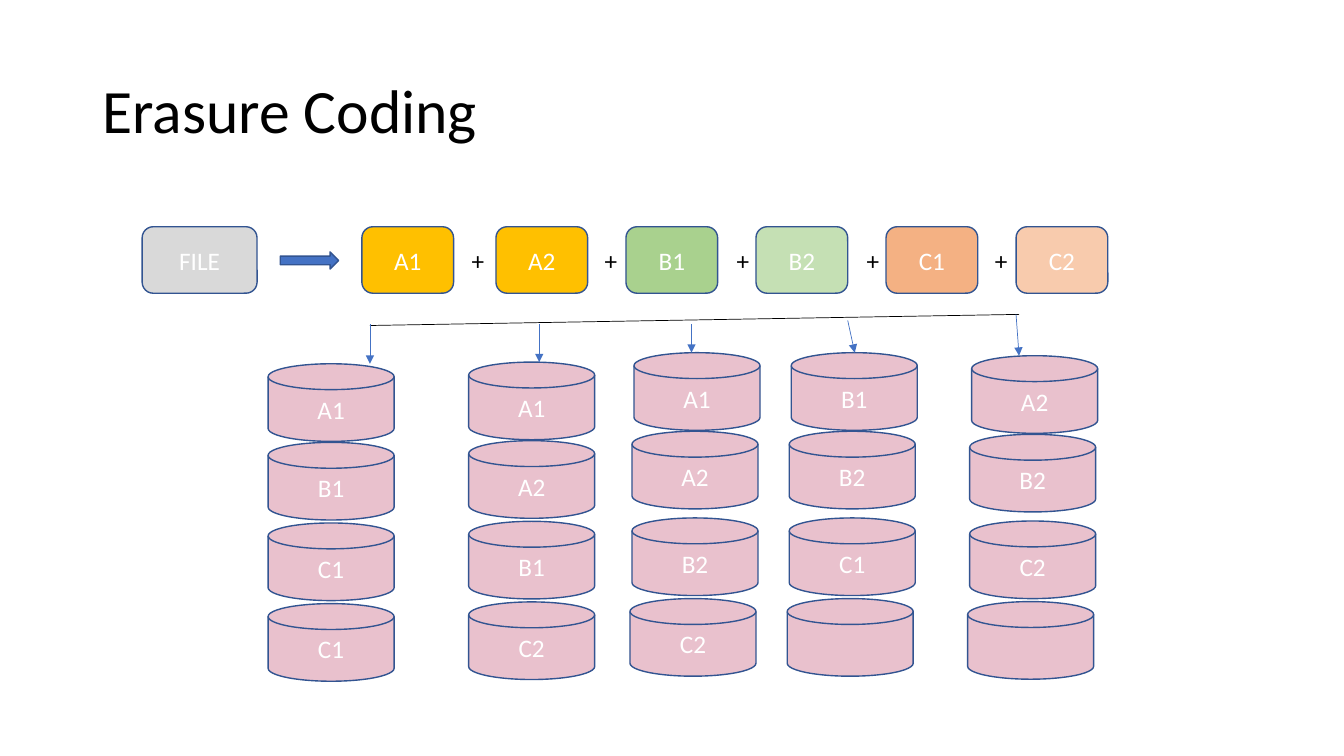
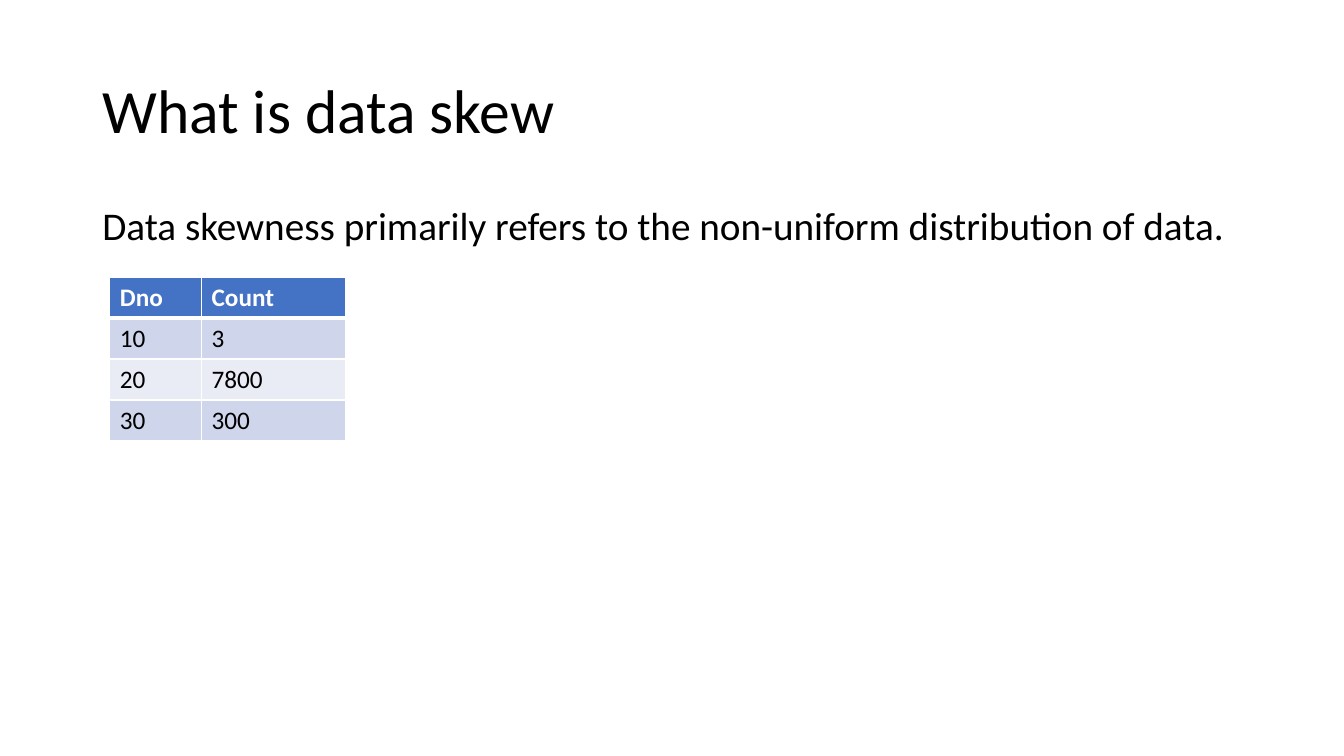
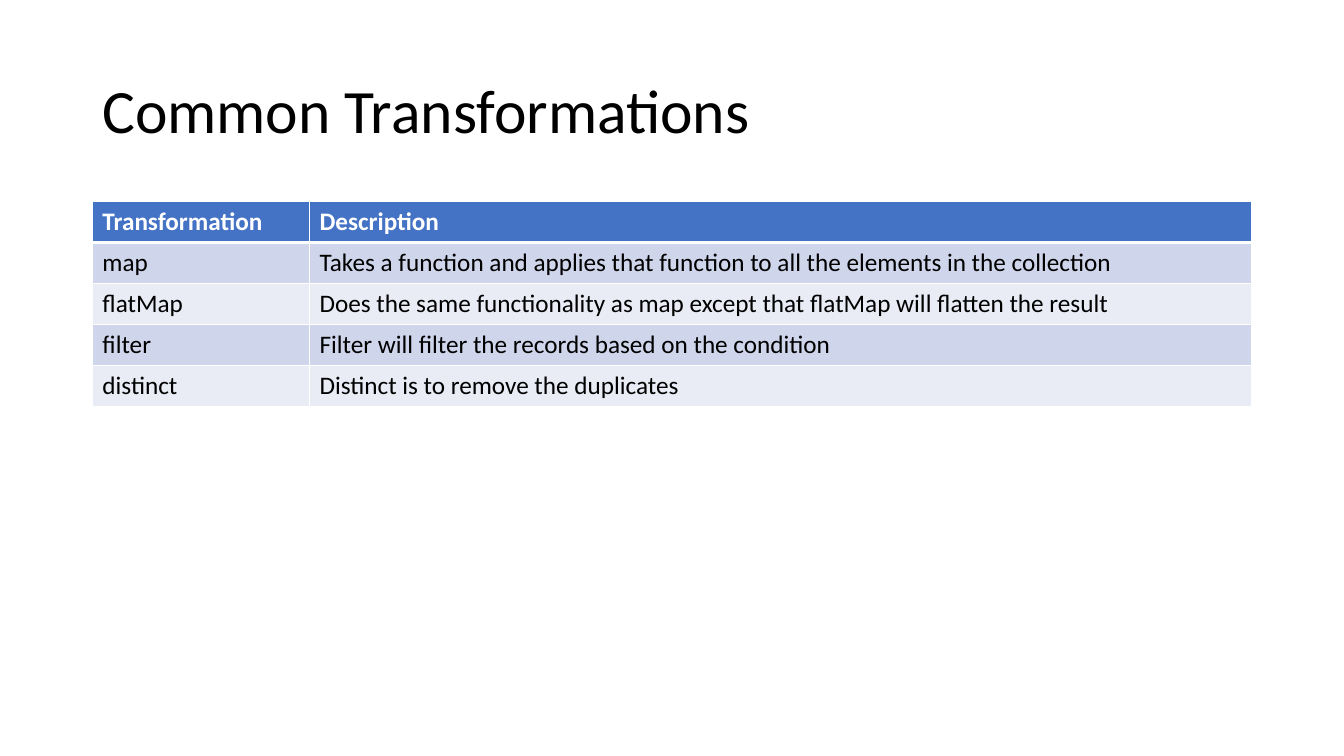
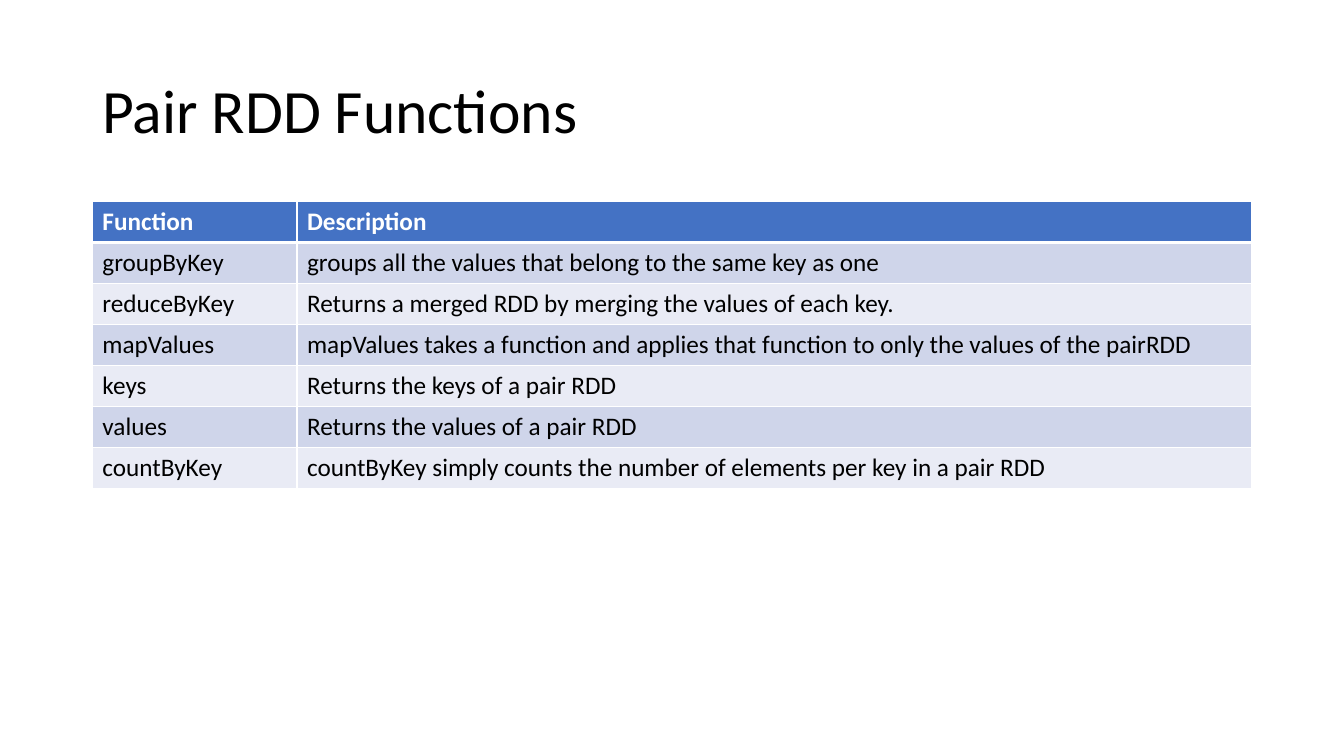
"""Build four slides on erasure coding, data skew and RDD operations."""

from dataclasses import dataclass
from typing import Optional

import lxml.etree
import pptx
import pptx.dml.color
import pptx.enum.shapes
import pptx.enum.text
import pptx.oxml.ns
import pptx.shapes.autoshape
import pptx.slide
import pptx.text.text
import pptx.util

RGBColor = pptx.dml.color.RGBColor
Preset = pptx.enum.shapes.MSO_SHAPE
Align = pptx.enum.text.PP_ALIGN
Anchor = pptx.enum.text.MSO_ANCHOR
qn = pptx.oxml.ns.qn

BLACK = RGBColor(0x00, 0x00, 0x00)
WHITE = RGBColor(0xFF, 0xFF, 0xFF)
BLUE = RGBColor(0x44, 0x72, 0xC4)
OUTLINE = RGBColor(0x32, 0x54, 0x91)
GREY = RGBColor(0xD9, 0xD9, 0xD9)
GOLD = RGBColor(0xFF, 0xC0, 0x00)
GREEN = RGBColor(0xA9, 0xD1, 0x8E)
PALE_GREEN = RGBColor(0xC5, 0xE0, 0xB4)
ORANGE = RGBColor(0xF4, 0xB1, 0x83)
PALE_ORANGE = RGBColor(0xF8, 0xCB, 0xAD)
PINK = RGBColor(0xE9, 0xC1, 0xCD)
BANDS = (RGBColor(0xCF, 0xD5, 0xEA), RGBColor(0xE9, 0xEB, 0xF5))

FONT = "Calibri"
SLIDE_WIDTH = pptx.util.Inches(13.33)
SLIDE_HEIGHT = pptx.util.Inches(7.5)
GRID_COLUMNS = 40
MARGIN = 2.75
CONTENT_WIDTH = 34.5
CONTENT_TOP = 6
TABLE_ROW = 1.22
BLOCK_TOP = 6.75
BLOCK_WIDTH = 2.73
BLOCK_HEIGHT = 1.98
DISK_WIDTH = 3.75
DISK_HEIGHT = 2.31
DISK_LEAN = (0, -0.06, -0.06, -0.12)
EVEN_ROWS = (0, 2.34, 4.74, 7.14)
SPLIT_ROWS = (0, 2.34, 4.92, 7.32)
UPRIGHT = (0, 0, 0, 0)


@dataclass(frozen=True)
class Box:
    """A rectangle in grid cells."""

    left: float
    top: float
    width: float
    height: float

    def emu(self) -> tuple[int, ...]:
        """Return the rectangle in slide units."""
        return tuple(cells(n) for n in (self.left, self.top, self.width, self.height))


@dataclass(frozen=True)
class Block:
    """A part of the file, with the place of the plus sign before it."""

    label: str
    left: float
    fill: RGBColor
    plus: Optional[float] = None


@dataclass(frozen=True)
class DiskStack:
    """A column of disks and the arrow that feeds it."""

    labels: tuple[str, ...]
    left: float
    top: float
    rows: tuple[float, ...]
    lean: tuple[float, ...]
    arrow_start: tuple[float, float]
    arrow_tip: float


@dataclass(frozen=True)
class TableSlide:
    """A titled slide with one table and an optional lead sentence."""

    title: str
    left: float
    top: float
    columns: tuple[float, float]
    rows: tuple[tuple[str, str], ...]
    lead: str = ""


BLOCKS = (
    Block("A1", 10.77, GOLD),
    Block("A2", 14.76, GOLD, 13.74),
    Block("B1", 18.63, GREEN, 17.7),
    Block("B2", 22.5, PALE_GREEN, 21.63),
    Block("C1", 26.37, ORANGE, 25.5),
    Block("C2", 30.24, PALE_ORANGE, 29.31),
)

STACKS = (
    DiskStack(("A1", "B1", "C1", "C1"), 7.98, 10.83, EVEN_ROWS, UPRIGHT, (11.01, 9.66), 11.01),
    DiskStack(("A1", "A2", "B1", "C2"), 13.95, 10.78, EVEN_ROWS, UPRIGHT, (16.05, 9.66), 16.05),
    DiskStack(("A1", "A2", "B2", "C2"), 18.87, 10.5, SPLIT_ROWS, DISK_LEAN, (20.58, 9.66), 20.58),
    DiskStack(("B1", "B2", "C1", ""), 23.55, 10.5, SPLIT_ROWS, DISK_LEAN, (25.23, 9.54), 25.44),
    DiskStack(("A2", "B2", "C2", ""), 28.92, 10.59, SPLIT_ROWS, DISK_LEAN, (30.24, 9.36), 30.33),
)

TABLE_SLIDES = (
    TableSlide(
        "What is data skew", 3.27, 8.25, (2.73, 4.29),
        (("Dno", "Count"), ("10", "3"), ("20", "7800"), ("30", "300")),
        lead="Data skewness primarily refers to the non-uniform distribution of data.",
    ),
    TableSlide(
        "Common Transformations", MARGIN, CONTENT_TOP, (6.46, 28.04),
        (
            ("Transformation", "Description"),
            ("map", "Takes a function and applies that function to all the elements in the collection"),
            ("flatMap", "Does the same functionality as map except that flatMap will flatten the result"),
            ("filter", "Filter will filter the records based on the condition"),
            ("distinct", "Distinct is to remove the duplicates"),
        ),
    ),
    TableSlide(
        "Pair RDD Functions", MARGIN, CONTENT_TOP, (6.09, 28.41),
        (
            ("Function", "Description"),
            ("groupByKey", "groups all the values that belong to the same key as one"),
            ("reduceByKey", "Returns a merged RDD by merging the values of each key."),
            ("mapValues", "mapValues takes a function and applies that function to only the values of the pairRDD"),
            ("keys", "Returns the keys of a pair RDD"),
            ("values", "Returns the values of a pair RDD"),
            ("countByKey", "countByKey simply counts the number of elements per key in a pair RDD"),
        ),
    ),
)


def cells(count: float) -> int:
    """Convert grid cells to slide units."""
    return round(SLIDE_WIDTH * count / GRID_COLUMNS)


def write(
    frame: pptx.text.text.TextFrame,
    text: str,
    *,
    size: float = 18,
    color: RGBColor = BLACK,
    bold: bool = False,
    align: Align = Align.LEFT,
    spacing: float = 1.0,
) -> None:
    """Put formatted text into a frame."""
    paragraph = frame.paragraphs[0]
    paragraph.alignment = align
    paragraph.line_spacing = spacing
    run = paragraph.add_run()
    run.text = text
    run.font.name = FONT
    run.font.size = pptx.util.Pt(size)
    run.font.bold = bold
    run.font.color.rgb = color


def add_text(
    slide: pptx.slide.Slide, box: Box, text: str, *, anchor: Anchor = Anchor.TOP, wrap: bool = True, **style
) -> None:
    """Add a text box."""
    frame = slide.shapes.add_textbox(*box.emu()).text_frame
    frame.word_wrap = wrap
    frame.vertical_anchor = anchor
    write(frame, text, **style)


def add_figure(slide: pptx.slide.Slide, preset: Preset, box: Box, fill: RGBColor, label: str = "") -> None:
    """Add an outlined preset shape with a centred label."""
    figure = slide.shapes.add_shape(preset, *box.emu())
    figure.shadow.inherit = False
    figure.fill.solid()
    figure.fill.fore_color.rgb = fill
    figure.line.color.rgb = OUTLINE
    figure.line.width = pptx.util.Pt(1)
    if label:
        figure.text_frame.vertical_anchor = Anchor.MIDDLE
        write(figure.text_frame, label, color=WHITE, align=Align.CENTER)


def add_line(
    slide: pptx.slide.Slide,
    start: tuple[float, float],
    end: tuple[float, float],
    color: RGBColor,
    arrow: bool = False,
) -> None:
    """Add a thin straight line, with an arrowhead at its end if asked."""
    ends = (cells(n) for n in (*start, *end))
    line = slide.shapes.add_connector(pptx.enum.shapes.MSO_CONNECTOR.STRAIGHT, *ends)
    line.line.color.rgb = color
    line.line.width = pptx.util.Pt(0.5)
    properties = line.element.spPr
    if arrow:
        lxml.etree.SubElement(properties.find(qn("a:ln")), qn("a:tailEnd"), type="triangle")
    lxml.etree.SubElement(properties, qn("a:effectLst"))


def add_borders(cell, top: float, bottom: float) -> None:
    """Give a table cell white borders of the given widths in points."""
    properties = cell._tc.get_or_add_tcPr()
    for side, width in (("L", 1), ("R", 1), ("T", top), ("B", bottom)):
        border = lxml.etree.SubElement(properties, qn(f"a:ln{side}"), w=str(pptx.util.Pt(width)))
        paint = lxml.etree.SubElement(border, qn("a:solidFill"))
        lxml.etree.SubElement(paint, qn("a:srgbClr"), val=str(WHITE))


def add_table(slide: pptx.slide.Slide, content: TableSlide) -> None:
    """Add a banded table with a blue header row."""
    count = len(content.rows)
    box = Box(content.left, content.top, sum(content.columns), TABLE_ROW * count)
    table = slide.shapes.add_table(count, len(content.columns), *box.emu()).table
    for column, width in zip(table.columns, content.columns):
        column.width = cells(width)
    for index, texts in enumerate(content.rows):
        header = index == 0
        table.rows[index].height = cells(TABLE_ROW)
        for position, text in enumerate(texts):
            cell = table.cell(index, position)
            add_borders(cell, top=3 if index == 1 else 1, bottom=3 if header else 1)
            cell.fill.solid()
            cell.fill.fore_color.rgb = BLUE if header else BANDS[(index - 1) % 2]
            write(cell.text_frame, text, color=WHITE if header else BLACK, bold=header)


def add_titled_slide(deck, title: str) -> pptx.slide.Slide:
    """Add a blank slide with the shared title style."""
    slide = deck.slides.add_slide(deck.slide_layouts[6])
    add_text(slide, Box(MARGIN, 1.2, CONTENT_WIDTH, 4.35), title, anchor=Anchor.MIDDLE, size=44, spacing=0.9)
    return slide


def add_erasure_slide(deck) -> None:
    """Draw the file, its blocks and the disks that hold them."""
    slide = add_titled_slide(deck, "Erasure Coding")
    add_figure(slide, Preset.ROUNDED_RECTANGLE, Box(4.23, BLOCK_TOP, 3.42, BLOCK_HEIGHT), GREY, "FILE")
    add_figure(slide, Preset.RIGHT_ARROW, Box(8.34, 7.5, 1.74, 0.51), BLUE)
    for block in BLOCKS:
        box = Box(block.left, BLOCK_TOP, BLOCK_WIDTH, BLOCK_HEIGHT)
        add_figure(slide, Preset.ROUNDED_RECTANGLE, box, block.fill, block.label)
        if block.plus is not None:
            add_text(slide, Box(block.plus, 7.15, 0.93, 1.2), "+", wrap=False)
    add_line(slide, (11.01, 9.69), (30.33, 9.36), BLACK)
    for stack in STACKS:
        for label, row, lean in zip(stack.labels, stack.rows, stack.lean):
            box = Box(stack.left + lean, stack.top + row, DISK_WIDTH, DISK_HEIGHT)
            add_figure(slide, Preset.FLOWCHART_MAGNETIC_DISK, box, PINK, label)
        add_line(slide, stack.arrow_start, (stack.arrow_tip, stack.top), BLUE, arrow=True)


def add_table_slide(deck, content: TableSlide) -> None:
    """Draw one titled table slide."""
    slide = add_titled_slide(deck, content.title)
    if content.lead:
        add_text(slide, Box(MARGIN, CONTENT_TOP, CONTENT_WIDTH, 14.28), content.lead, size=28, spacing=0.9)
    add_table(slide, content)


def main() -> None:
    """Build and save the deck."""
    deck = pptx.Presentation()
    deck.slide_width = SLIDE_WIDTH
    deck.slide_height = SLIDE_HEIGHT
    add_erasure_slide(deck)
    for content in TABLE_SLIDES:
        add_table_slide(deck, content)
    deck.save("out.pptx")


if __name__ == "__main__":
    main()
